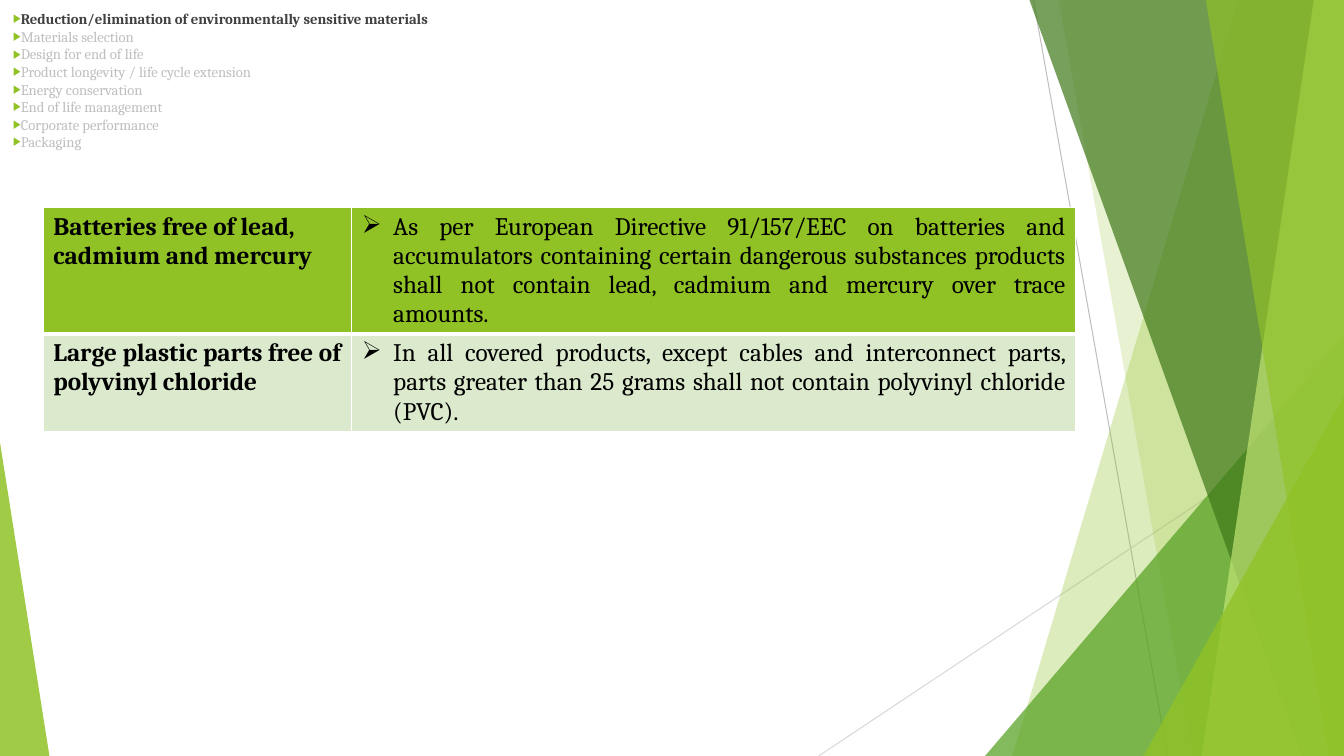
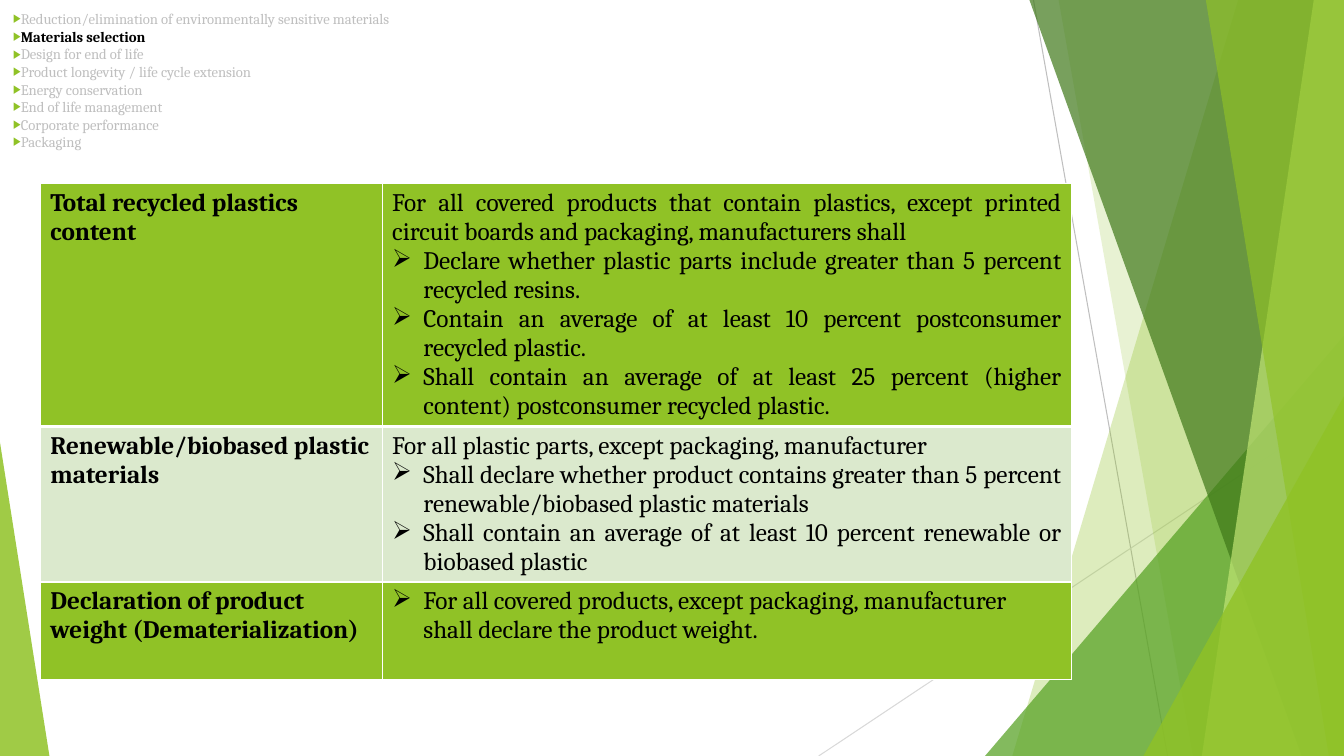
from dataclasses import dataclass
from lxml.etree import SubElement
from pptx import Presentation
from pptx.dml.color import RGBColor
from pptx.enum.shapes import MSO_CONNECTOR, MSO_SHAPE
from pptx.enum.text import MSO_ANCHOR, MSO_AUTO_SIZE, PP_ALIGN
from pptx.oxml.ns import qn
from pptx.util import Inches, Pt


@dataclass(frozen=True)
class Theme:
    font: str = "Cambria"
    lime: str = "90C226"
    leaf: str = "54A021"
    pine: str = "3F7819"
    pale: str = "C0E474"
    mint: str = "DBE9CD"
    gray: str = "BFBFBF"
    mist: str = "D9D9D9"
    dark: str = "404040"
    black: str = "000000"
    white: str = "FFFFFF"
    small: float = 10.5
    pitch: float = 12.55
    text: int = 18


T = Theme()
WIDE, HIGH = 13.33, 7.5

TOPICS = [
    "Reduction/elimination of environmentally sensitive materials",
    "Materials selection",
    "Design for end of life",
    "Product longevity / life cycle extension",
    "Energy conservation",
    "End of life management",
    "Corporate performance",
    "Packaging",
]

# A row holds: height, label, lead-in, bulleted points, alignment
FULL, LEFT = PP_ALIGN.JUSTIFY, PP_ALIGN.LEFT
PAGES = [
    dict(topic=0, tint=T.dark, at=(0.43, 2.06), cols=(3.06, 7.18), rows=[
        (1.25, "Batteries free of lead, cadmium and mercury", "", [
            "As per European Directive 91/157/EEC on batteries and accumulators "
            "containing certain dangerous substances products shall not contain "
            "lead, cadmium and mercury over trace amounts."], FULL),
        (0.96, "Large plastic parts free of polyvinyl chloride", "", [
            "In all covered products, except cables and interconnect parts, parts "
            "greater than 25 grams shall not contain polyvinyl chloride (PVC)."],
         FULL),
    ]),
    dict(topic=1, tint=T.black, at=(0.4, 1.82), cols=(3.39, 6.84), rows=[
        (2.41, "Total recycled plastics content",
         "For all covered products that contain plastics, except printed circuit "
         "boards and packaging, manufacturers shall", [
             "Declare whether plastic parts include greater than 5 percent "
             "recycled resins.",
             "Contain an average of at least 10 percent postconsumer recycled "
             "plastic.",
             "Shall contain an average of at least 25 percent (higher content) "
             "postconsumer recycled plastic."], FULL),
        (1.54, "Renewable/biobased plastic materials",
         "For all plastic parts, except packaging, manufacturer", [
             "Shall declare whether product contains greater than 5 percent "
             "renewable/biobased plastic materials",
             "Shall contain an average of at least 10 percent renewable or "
             "biobased plastic"], FULL),
        (0.97, "Declaration of product weight (Dematerialization)", "", [
            "For all covered products, except packaging, manufacturer shall "
            "declare the product weight."], LEFT),
    ]),
]

LINES = [((10.25, 0), (11.58, HIGH), T.gray), ((WIDE, 4.03), (8.12, HIGH), T.mist)]
# Bands reach the right edge: top x, bottom x. Wedges: left, top, width, apex.
FACETS = [
    ("band", (12.28, 10.04), T.lime, 30),
    ("band", (10.5, 11.83), T.lime, 20),
    ("wedge", (9.77, 3.33, 3.56, 1), T.leaf, 72),
    ("band", (10.21, 12.91), T.pine, 70),
    ("band", (13.03, 11.92), T.pale, 70),
    ("band", (11.96, 13.18), T.lime, 65),
    ("wedge", (11.34, 3.93, 1.99, 1), T.lime, 80),
    ("wedge", (0, 4.39, 0.49, 0), T.lime, 85),
]


def rgb(code):
    return RGBColor.from_string(code)


def draw_band(shapes, top, low):
    pen = shapes.build_freeform(Inches(top), 0)
    pen.add_line_segments([(Inches(x), Inches(y)) for x, y in
                           ((WIDE, 0), (WIDE, HIGH), (low, HIGH))])
    return pen.convert_to_shape()


def draw_wedge(shapes, left, top, width, apex):
    shape = shapes.add_shape(MSO_SHAPE.ISOSCELES_TRIANGLE, Inches(left), Inches(top),
                             Inches(width), Inches(HIGH - top))
    shape.adjustments[0] = apex
    return shape


def add_decor(slide, master):
    """Draw the facets once and move them to the master."""
    parts = []
    for start, end, tint in LINES:
        line = slide.shapes.add_connector(
            MSO_CONNECTOR.STRAIGHT, *map(Inches, start + end))
        line.line.color.rgb = rgb(tint)
        line.line.width = Pt(0.75)
        SubElement(line.element.spPr, qn("a:effectLst"))
        parts.append(line)
    draw = {"band": draw_band, "wedge": draw_wedge}
    for kind, spot, tint, alpha in FACETS:
        shape = draw[kind](slide.shapes, *spot)
        shape.shadow.inherit = False
        shape.line.fill.background()
        shape.fill.solid()
        shape.fill.fore_color.rgb = rgb(tint)
        color = next(shape.element.spPr.iter(qn("a:srgbClr")))
        SubElement(color, qn("a:alpha"), val=str(alpha * 1000))
        parts.append(shape)
    for part in parts:
        master.shapes.element.append(part.element)


def set_bullet(para, char, left, hang, tint=None, size=100):
    props = para._p.get_or_add_pPr()
    props.set("marL", str(Inches(left)))
    props.set("indent", str(Inches(-hang)))
    if tint:
        SubElement(SubElement(props, qn("a:buClr")), qn("a:srgbClr"), val=tint)
    SubElement(props, qn("a:buSzPct"), val=str(size * 1000))
    SubElement(props, qn("a:buChar"), char=char)


def set_font(para, size, tint, bold=False):
    font = para.font
    font.name, font.size, font.bold = T.font, Pt(size), bold
    font.color.rgb = rgb(tint)


def next_para(frame, index, text):
    para = frame.add_paragraph() if index else frame.paragraphs[0]
    para.text = text
    return para


def add_topics(slide, active, tint):
    title = slide.shapes.title.element
    title.getparent().remove(title)
    body = slide.placeholders[1]
    body.left, body.top, body.width, body.height = map(Inches, (0.03, 0.05, 4.83, 1.5))
    frame = body.text_frame
    frame.word_wrap = True
    frame.auto_size = MSO_AUTO_SIZE.NONE
    frame.vertical_anchor = MSO_ANCHOR.TOP
    for i, topic in enumerate(TOPICS):
        para = next_para(frame, i, topic)
        set_bullet(para, "▶", 0, 0.38, T.lime, 80)
        para.space_before = para.space_after = Pt(0)
        para.line_spacing = Pt(T.pitch)
        set_font(para, T.small, tint if i == active else T.gray, i == active)


def style_cell(cell, row):
    """Fill by row parity, with white rules and a thick one under the first row."""
    props = cell._tc.get_or_add_tcPr()
    thick = {(0, "lnB"), (1, "lnT")}
    for side in ("lnL", "lnR", "lnT", "lnB"):
        width = 3 if (row, side) in thick else 1
        rule = SubElement(props, qn(f"a:{side}"), w=str(Pt(width)))
        SubElement(SubElement(rule, qn("a:solidFill")), qn("a:srgbClr"), val=T.white)
    cell.fill.solid()
    cell.fill.fore_color.rgb = rgb(T.mint if row % 2 else T.lime)


def add_grid(slide, at, cols, rows):
    size = sum(cols), sum(row[0] for row in rows)
    grid = slide.shapes.add_table(len(rows), len(cols), *map(Inches, at + size)).table
    grid.first_row = grid.horz_banding = False
    for col, width in zip(grid.columns, cols):
        col.width = Inches(width)
    for r, (height, label, lead, points, align) in enumerate(rows):
        grid.rows[r].height = Inches(height)
        head, cell = grid.cell(r, 0), grid.cell(r, 1)
        style_cell(head, r)
        style_cell(cell, r)
        set_font(next_para(head.text_frame, 0, label), T.text, T.black, True)
        texts = ([lead] if lead else []) + points
        for i, text in enumerate(texts):
            para = next_para(cell.text_frame, i, text)
            para.alignment = align
            if text != lead:
                set_bullet(para, "➢", 0.31, 0.31)
            set_font(para, T.text, T.black)


def main():
    deck = Presentation()
    deck.slide_width, deck.slide_height = Inches(WIDE), Inches(HIGH)
    for i, page in enumerate(PAGES):
        slide = deck.slides.add_slide(deck.slide_layouts[1])
        if i == 0:
            add_decor(slide, deck.slide_master)
        add_topics(slide, page["topic"], page["tint"])
        add_grid(slide, page["at"], page["cols"], page["rows"])
    deck.save("out.pptx")


if __name__ == "__main__":
    main()
